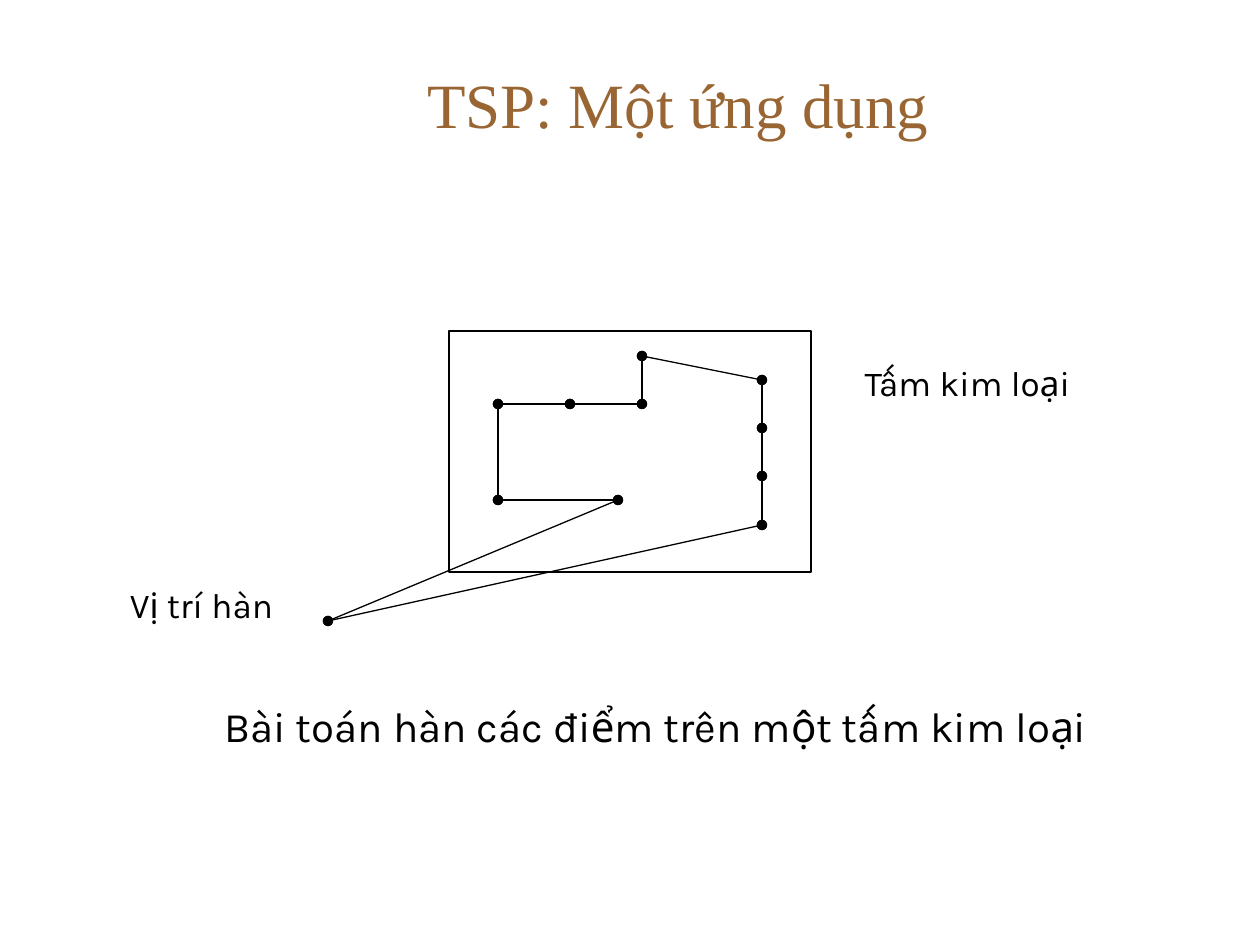
from lxml import etree
from pptx import Presentation, util as u
from pptx.dml import color
from pptx.enum import shapes, text
from pptx.oxml import ns

SCALE = 914400 // 126


def px(*lengths):
    return [u.Emu(length * SCALE) for length in lengths]


def rgb(value):
    return color.RGBColor.from_string(value)


def apply(target, values):
    for name, value in values.items():
        setattr(target, name, value)


class Board:
    ink, paper, accent = "000000", "FFFFFF", "996633"
    line_width = u.Pt(0.75)

    def __init__(self, slide):
        self.slide = slide

    def set_text(self, shape, words, size, font, ink, before, anchor):
        apply(shape.text_frame, {"word_wrap": True, "vertical_anchor": anchor})
        paragraph = shape.text_frame.paragraphs[0]
        apply(paragraph, {"alignment": text.PP_ALIGN.CENTER, "space_before": u.Pt(before)})
        run = paragraph.add_run()
        run.text = words
        apply(run.font, {"size": u.Pt(size), "name": font})
        run.font.color.rgb = rgb(ink)

    def title(self, words, *box):
        shape = self.slide.shapes.add_textbox(*px(*box))
        self.set_text(shape, words, 36, "Times New Roman", self.accent, 0, text.MSO_ANCHOR.MIDDLE)

    def panel(self, *box, outlined=False):
        shape = self.slide.shapes.add_shape(shapes.MSO_SHAPE.RECTANGLE, *px(*box))
        shape.shadow.inherit = False
        shape.fill.solid()
        shape.fill.fore_color.rgb = rgb(self.paper)
        if outlined:
            shape.line.color.rgb = rgb(self.ink)
            shape.line.width = self.line_width
        else:
            shape.line.fill.background()
        return shape

    def label(self, words, size, before, *box):
        self.set_text(self.panel(*box), words, size, "Karla", self.ink, before,
                      text.MSO_ANCHOR.TOP)

    def leg(self, start, end):
        connector = self.slide.shapes.add_connector(
            shapes.MSO_CONNECTOR.STRAIGHT, *px(*start, *end))
        connector.line.color.rgb = rgb(self.ink)
        connector.line.width = self.line_width
        properties = connector._element.spPr
        outline = properties.find(ns.qn("a:ln"))
        for tag in ("a:headEnd", "a:tailEnd"):
            etree.SubElement(outline, ns.qn(tag), type="oval")
        etree.SubElement(properties, ns.qn("a:effectLst"))


presentation = Presentation()
apply(presentation, dict(zip(("slide_width", "slide_height"), px(1260, 945))))
board = Board(presentation.slides.add_slide(presentation.slide_layouts[6]))

# Title
board.title("TSP: Một ứng dụng", 158, 38, 1040, 130)

# Metal plate
board.panel(449, 331, 362, 241, outlined=True)

# Closed welding tour
tour = [(328, 621), (762, 525), (762, 476), (762, 428), (762, 380), (642, 356),
        (642, 404), (570, 404), (498, 404), (498, 500), (618, 500)]
for start, end in zip(tour, tour[1:] + tour[:1]):
    board.leg(start, end)

# Labels and caption
for label in (("Vị trí hàn", 20, 5, 105, 577, 193, 72),
              ("Tấm kim loại", 20, 5, 835, 355, 265, 72),
              ("Bài toán hàn các điểm trên một tấm kim loại", 24, 6, 208, 694, 895, 73)):
    board.label(*label)

presentation.save("out.pptx")
